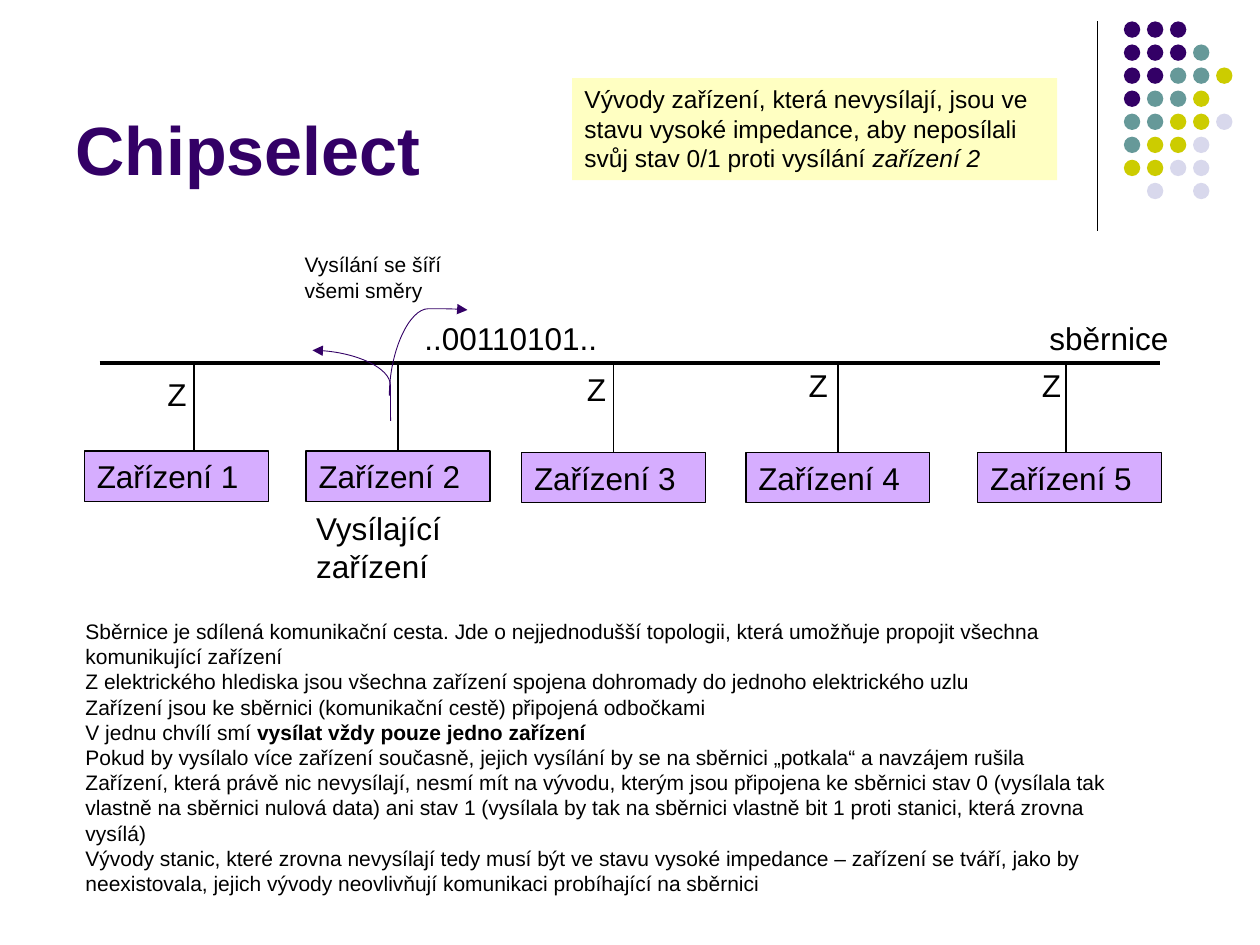
from pptx import Presentation
from pptx.dml.color import RGBColor
from pptx.enum.shapes import MSO_CONNECTOR, MSO_SHAPE
from pptx.enum.text import MSO_ANCHOR, PP_ALIGN
from pptx.oxml.ns import qn
from pptx.util import Inches, Pt
from lxml import etree
from dataclasses import dataclass

STRAIGHT, CURVE = MSO_CONNECTOR.STRAIGHT, MSO_CONNECTOR.CURVE
RECTANGLE, OVAL = MSO_SHAPE.RECTANGLE, MSO_SHAPE.OVAL
TOP, BOTTOM, LEFT = MSO_ANCHOR.TOP, MSO_ANCHOR.BOTTOM, PP_ALIGN.LEFT


@dataclass(frozen=True)
class Theme:
    """Colours, font and type sizes of the slide."""
    font: str = "Arial"
    ink: str = "000000"
    accent: str = "330066"
    device: str = "D6ADFF"
    note: str = "FFFFC2"
    title_size: int = 39
    label_size: int = 18
    note_size: int = 14
    body_size: int = 12


THEME = Theme()
DOT_COLOURS = {"P": THEME.accent, "T": "669999", "Y": "CCCC00", "L": "D8D8EC"}
DOT_ROWS = ["PPP", "PPPT", "PPTTY", "PTTY", "TTYYL", "TYYL", "YYLL", " L L"]
DOT_LEFT, DOT_TOP, DOT_PITCH, DOT_SIZE = 8.92, 0.17, 0.183, 0.13

BUS_Y, BUS_LEFT, BUS_RIGHT = 2.88, 0.79, 9.21
DEVICE_WIDTH, DEVICE_HEIGHT = 1.46, 0.4
# box left, box top, branch x, position of the Z mark (None for the sender)
DEVICES = [
    (0.67, 3.58, 1.54, (1.23, 2.93)),
    (2.43, 3.58, 3.16, None),
    (4.14, 3.59, 4.87, (4.56, 2.89)),
    (5.92, 3.59, 6.65, (6.32, 2.86)),
    (7.76, 3.59, 8.46, (8.17, 2.86)),
]
# start, end, rotation in degrees, bend in thousandths
SIGNALS = [
    ((2.48, 2.78), (3.10, 3.34), 180, 2),
    ((3.74, 3.11), (3.06, 2.49), 90, 1014),
]
LABELS = [
    ("sběrnice", (8.23, 2.48, 1.39, 0.4), THEME.label_size),
    ("..00110101..", (3.27, 2.48, 1.61, 0.4), THEME.label_size),
    ("Vysílající zařízení", (2.41, 3.99, 1.61, 0.71), THEME.label_size),
    ("Vysílání se šíří všemi směry", (2.32, 1.95, 1.54, 0.5), THEME.body_size),
]
# Each paragraph is a list of (text, style) spans
NOTE = [[
    ("Vývody zařízení, která nevysílají, jsou ve stavu vysoké impedance, "
     "aby neposílali svůj stav 0/1 proti vysílání ", ""),
    ("zařízení 2", "italic"),
]]
BODY = [
    [("Sběrnice je sdílená komunikační cesta. Jde o nejjednodušší topologii, "
      "která umožňuje propojit všechna komunikující zařízení", "")],
    [("Z elektrického hlediska jsou všechna zařízení spojena dohromady "
      "do jednoho elektrického uzlu", "")],
    [("Zařízení jsou ke sběrnici (komunikační cestě) připojená odbočkami", "")],
    [("V jednu chvílí smí ", ""), ("vysílat vždy pouze jedno zařízení", "bold")],
    [("Pokud by vysílalo více zařízení současně, jejich vysílání by se "
      "na sběrnici „potkala“ a navzájem rušila", "")],
    [("Zařízení, která právě nic nevysílají, nesmí mít na vývodu, kterým jsou "
      "připojena ke sběrnici stav 0 (vysílala tak vlastně na sběrnici nulová "
      "data) ani stav 1 (vysílala by tak na sběrnici vlastně bit 1 proti "
      "stanici, která zrovna vysílá)", "")],
    [("Vývody stanic, které zrovna nevysílají tedy musí být ve stavu vysoké "
      "impedance – zařízení se tváří, jako by neexistovala, jejich vývody "
      "neovlivňují komunikaci probíhající na sběrnici", "")],
]


def colour(code):
    """Turn a hex code into a colour."""
    return RGBColor.from_string(code)


def write(shape, paragraphs, size, ink=THEME.ink, bold=False, anchor=TOP):
    """Fill a shape with left-aligned paragraphs of styled spans."""
    frame = shape.text_frame
    frame.word_wrap = True
    frame.vertical_anchor = anchor
    for index, spans in enumerate(paragraphs):
        para = frame.add_paragraph() if index else frame.paragraphs[0]
        para.alignment = LEFT
        para.font.name, para.font.size = THEME.font, Pt(size)
        para.font.bold, para.font.color.rgb = bold, colour(ink)
        for text, style in spans:
            span = para.add_run()
            span.text = text
            if style:
                setattr(span.font, style, True)


def add_text(page, place, paragraphs, size, **style):
    """Add a text box at (left, top, width, height)."""
    box = page.shapes.add_textbox(*map(Inches, place))
    write(box, paragraphs, size, **style)


def add_block(page, kind, place, fill, outlined=False):
    """Add a flat filled shape, with a thin outline if asked."""
    block = page.shapes.add_shape(kind, *map(Inches, place))
    block.shadow.inherit = False
    block.fill.solid()
    block.fill.fore_color.rgb = colour(fill)
    if outlined:
        block.line.color.rgb = colour(THEME.ink)
        block.line.width = Pt(0.75)
    else:
        block.line.fill.background()
    return block


def add_line(page, start, end, width=0.75, ink=THEME.ink, kind=STRAIGHT):
    """Add a connector without shadow."""
    line = page.shapes.add_connector(kind, *map(Inches, start + end))
    line.line.color.rgb = colour(ink)
    line.line.width = Pt(width)
    etree.SubElement(line._element.spPr, qn("a:effectLst"))
    return line


def add_signal(page, start, end, degrees, bend):
    """Add a curved arrow turned by degrees, with its bend set."""
    arrow = add_line(page, start, end, 0.5, THEME.accent, CURVE)
    properties = arrow._element.spPr
    properties.find(qn("a:xfrm")).set("rot", str(degrees * 60000))
    guides = properties.find(qn("a:prstGeom")).find(qn("a:avLst"))
    etree.SubElement(guides, qn("a:gd"), name="adj1", fmla=f"val {bend * 100}")
    outline = properties.find(qn("a:ln"))
    etree.SubElement(outline, qn("a:tailEnd"), type="triangle")


def add_ornament(page):
    """Draw the vertical rule and the grid of dots in the corner."""
    add_line(page, (8.71, 0.17), (8.71, 1.83))
    for row, codes in enumerate(DOT_ROWS):
        for column, code in enumerate(codes):
            if code in DOT_COLOURS:
                place = (DOT_LEFT + column * DOT_PITCH, DOT_TOP + row * DOT_PITCH,
                         DOT_SIZE, DOT_SIZE)
                add_block(page, OVAL, place, DOT_COLOURS[code])


def add_bus(page):
    """Draw the bus with its devices, branches and Z marks."""
    add_line(page, (BUS_LEFT, BUS_Y), (BUS_RIGHT, BUS_Y), 2)
    for number, (left, top, branch, mark) in enumerate(DEVICES, 1):
        box = add_block(page, RECTANGLE, (left, top, DEVICE_WIDTH, DEVICE_HEIGHT),
                        THEME.device, outlined=True)
        write(box, [[(f"Zařízení {number}", "")]], THEME.label_size)
        add_line(page, (branch, BUS_Y), (branch, top))
        if mark:
            add_text(page, mark + (0.37, 0.4), [[("Z", "")]], THEME.label_size)
    for signal in SIGNALS:
        add_signal(page, *signal)


def main():
    """Build the slide and save it."""
    deck = Presentation()
    deck.slide_width, deck.slide_height = Inches(10), Inches(7.5)
    page = deck.slides.add_slide(deck.slide_layouts[6])
    add_ornament(page)
    add_text(page, (0.5, 0.13, 8.25, 1.42), [[("Chipselect", "")]],
             THEME.title_size, ink=THEME.accent, bold=True, anchor=BOTTOM)
    add_bus(page)
    for text, place, size in LABELS:
        add_text(page, place, [[(text, "")]], size)
    add_text(page, (0.58, 4.86, 8.58, 2.32), BODY, THEME.body_size)
    note = add_block(page, RECTANGLE, (4.54, 0.62, 3.85, 0.81), THEME.note)
    write(note, NOTE, THEME.note_size)
    deck.save("out.pptx")


main()
